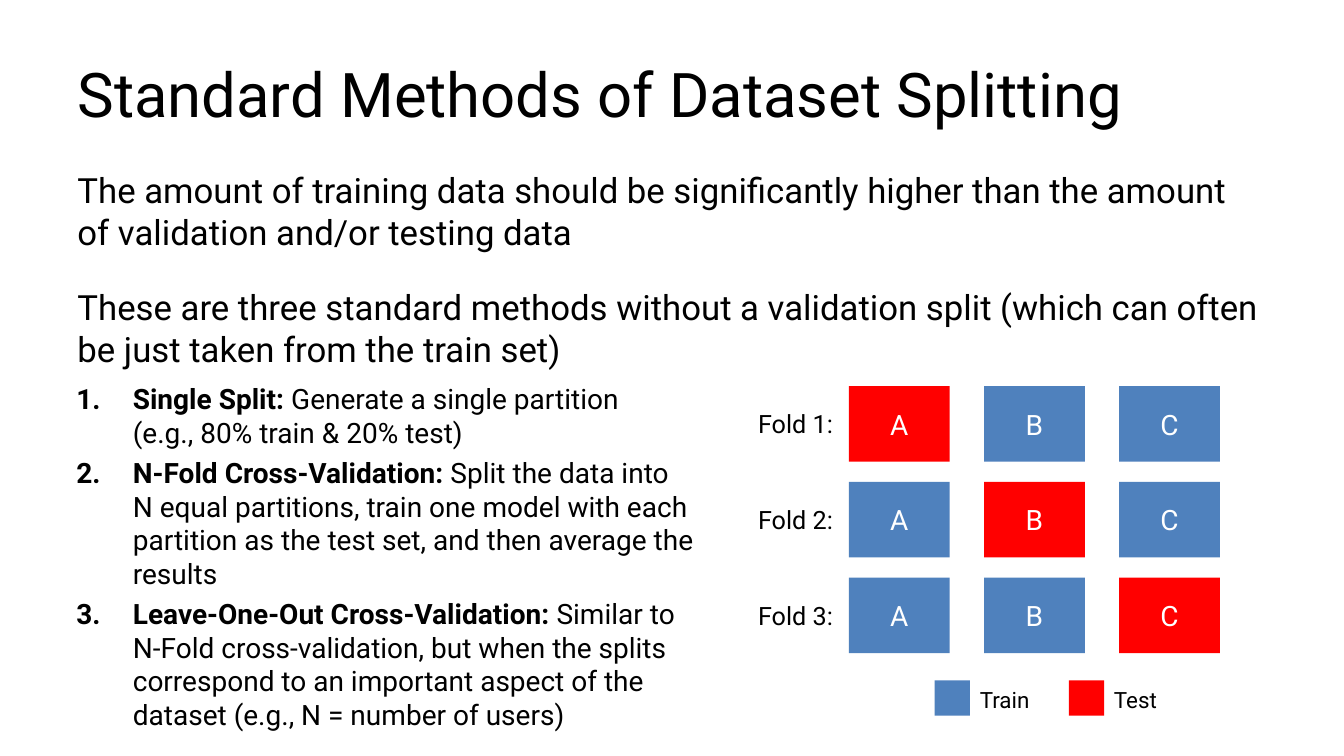
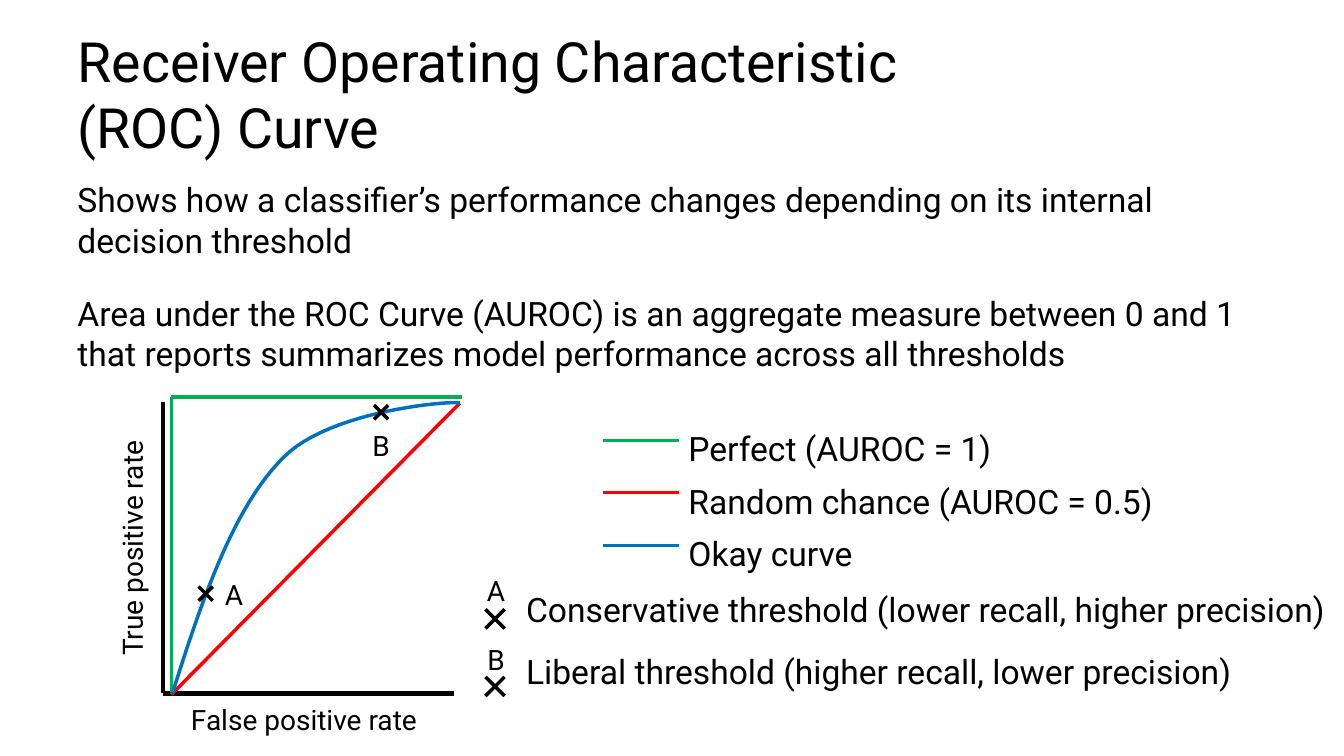
"""Build two slides on dataset splitting and ROC curves."""
from dataclasses import dataclass

from lxml import etree
from pptx import Presentation
from pptx.dml.color import RGBColor
from pptx.enum.shapes import MSO_CONNECTOR as Connector, MSO_SHAPE as Shape
from pptx.enum.text import MSO_ANCHOR as Anchor, MSO_AUTO_SIZE as AutoSize, PP_ALIGN as Align
from pptx.oxml.ns import qn
from pptx.util import Inches, Pt


@dataclass(frozen=True)
class Theme:
    """Colours, font and type sizes of the slides."""
    font: str = "Roboto"
    text: str = "000000"
    on_tile: str = "FFFFFF"
    train: str = "4F81BD"
    test: str = "FF0000"
    perfect: str = "00B050"
    chance: str = "FF0000"
    okay: str = "0070C0"
    legend_size: float = 24
    label_size: float = 20
    fold_size: float = 18
    key_size: float = 16
    axis_width: float = 3
    curve_width: float = 2.5
    legend_width: float = 2
    space_before: float = 0.23


THEME = Theme()
TITLE_BOX = (0.67, 0.3, 12, 1.25)

SPLITTING = {
    "title": "Standard Methods of Dataset Splitting",
    "title_size": 44,
    "body": [
        "The amount of training data should be significantly higher than the amount "
        "of validation and/or testing data",
        "These are three standard methods without a validation split (which can often "
        "be just taken from the train set)",
    ],
    "body_size": 24.8,
    "body_height": 1.84,
}
METHODS = [
    ("Single Split:", " Generate a single partition\n(e.g., 80% train & 20% test)"),
    ("N-Fold Cross-Validation:",
     " Split the data into\nN equal partitions, train one model with each partition "
     "as the test set, and then average the results"),
    ("Leave-One-Out Cross-Validation:",
     " Similar to\nN-Fold cross-validation, but when the splits correspond to an "
     "important aspect of the dataset (e.g., N = number of users)"),
]
PARTITIONS = ("A", "B", "C")
SPLIT_KEY = [("Train", THEME.train, 9.27), ("Test", THEME.test, 10.6)]

ROC = {
    "title": "Receiver Operating Characteristic\n(ROC) Curve",
    "title_size": 39.6,
    "body": [
        "Shows how a classifier’s performance changes depending on its internal "
        "decision threshold",
        "Area under the ROC Curve (AUROC) is an aggregate measure between 0 and 1 "
        "that reports summarizes model performance across all thresholds",
    ],
    "body_size": 24,
    "body_height": 1.98,
}
AXES = [((4.5, 6.88), (1.62, 6.88)), ((1.62, 3.99), (1.62, 6.88))]
AXIS_TITLES = [("False positive rate", (1.37, 6.92, 3.29, 0.44), 0),
               ("True positive rate", (-0.13, 5.22, 2.88, 0.44), 270)]
STRAIGHT_CURVES = [
    ((1.7, 6.89), (4.56, 4), THEME.chance),
    ((1.7, 6.87), (1.7, 3.94), THEME.perfect),
    ((4.58, 3.94), (1.7, 3.94), THEME.perfect),
]
OKAY_CURVE = [
    ((1.71, 6.88), (2.02, 5.89), (2.33, 5.02), (2.81, 4.54)),
    ((2.81, 4.54), (3.28, 4.06), (4.53, 3.97), (4.56, 4)),
]
CURVE_LEGEND = [
    ("Perfect (AUROC = 1)", THEME.perfect),
    ("Random chance (AUROC = 0.5)", THEME.chance),
    ("Okay curve", THEME.okay),
]
MARKERS = [
    ("A", (2.04, 5.89), 0.14, (2.09, 5.68)),
    ("B", (3.78, 4.09), 0.14, (3.55, 4.2)),
    ("A", (4.91, 6.14), 0.19, (4.69, 5.64)),
    ("B", (4.91, 6.81), 0.19, (4.69, 6.32)),
]
THRESHOLDS = [
    ("Conservative threshold (lower recall, higher precision)", 5.79),
    ("Liberal threshold (higher recall, lower precision)", 6.41),
]


def color(value):
    """Return the colour object of a hex string."""
    return RGBColor.from_string(value)


def add_run(paragraph, text, size, fill=THEME.text, bold=False):
    """Add styled text, with a line break at each newline."""
    for index, line in enumerate(text.split("\n")):
        if index:
            paragraph.add_line_break()
        run = paragraph.add_run()
        run.text = line
        run.font.name = THEME.font
        run.font.size = Pt(size)
        run.font.bold = bold
        run.font.color.rgb = color(fill)


def place(shape, box):
    """Move and size a shape."""
    shape.left, shape.top, shape.width, shape.height = map(Inches, box)


def add_text_box(slide, box, anchor=Anchor.TOP):
    """Add an empty wrapping text box."""
    shape = slide.shapes.add_textbox(*map(Inches, box))
    shape.text_frame.word_wrap = True
    shape.text_frame.vertical_anchor = anchor
    return shape


def add_label(slide, text, box, size, align=Align.LEFT, anchor=Anchor.TOP):
    """Add a one-paragraph label."""
    shape = add_text_box(slide, box, anchor)
    paragraph = shape.text_frame.paragraphs[0]
    paragraph.alignment = align
    add_run(paragraph, text, size)
    return shape


def add_rectangle(slide, box, fill, text=""):
    """Add a borderless filled rectangle with an optional centred text."""
    shape = slide.shapes.add_shape(Shape.RECTANGLE, *map(Inches, box))
    shape.shadow.inherit = False
    shape.fill.solid()
    shape.fill.fore_color.rgb = color(fill)
    shape.line.fill.background()
    if text:
        shape.text_frame.vertical_anchor = Anchor.MIDDLE
        paragraph = shape.text_frame.paragraphs[0]
        paragraph.alignment = Align.CENTER
        add_run(paragraph, text, THEME.label_size, THEME.on_tile)


def add_line(slide, start, end, stroke, width):
    """Add a straight line without a shadow."""
    line = slide.shapes.add_connector(Connector.STRAIGHT, *map(Inches, (*start, *end)))
    line.line.color.rgb = color(stroke)
    line.line.width = Pt(width)
    etree.SubElement(line._element.spPr, qn("a:effectLst"))


def add_cross(slide, center, size):
    """Add a cross made of two diagonal lines."""
    x, y = center
    half = size / 2
    for rise in (half, -half):
        add_line(slide, (x - half, y + rise), (x + half, y - rise),
                 THEME.text, THEME.curve_width)


def paragraphs_of(frame, count):
    """Yield the first paragraph and as many new ones as needed."""
    for index in range(count):
        yield frame.add_paragraph() if index else frame.paragraphs[0]


def number(paragraph, indent):
    """Give a paragraph an automatic number and a hanging indent."""
    properties = paragraph._p.get_or_add_pPr()
    properties.set("marL", str(Inches(indent)))
    properties.set("indent", str(-Inches(indent)))
    etree.SubElement(properties, qn("a:buAutoNum"), type="arabicPeriod")


def add_slide(presentation, content):
    """Add a slide with its title and introductory paragraphs."""
    slide = presentation.slides.add_slide(presentation.slide_layouts[5])
    title = slide.shapes.title
    place(title, TITLE_BOX)
    title.text_frame.auto_size = AutoSize.NONE
    title.text_frame.word_wrap = True
    title.text_frame.vertical_anchor = Anchor.MIDDLE
    paragraph = title.text_frame.paragraphs[0]
    paragraph.alignment = Align.LEFT
    add_run(paragraph, content["title"], content["title_size"])

    body = add_text_box(slide, (0.67, 1.75, 12, content["body_height"]), Anchor.MIDDLE)
    lines = content["body"]
    for paragraph, text in zip(paragraphs_of(body.text_frame, len(lines)), lines):
        paragraph.space_before = Pt(THEME.space_before * content["body_size"])
        if text != lines[-1]:
            paragraph.space_after = Pt(18)
        add_run(paragraph, text, content["body_size"])
    return slide


def add_methods(slide):
    """Add the numbered list of splitting methods."""
    frame = add_text_box(slide, (0.66, 3.74, 6.5, 3.59)).text_frame
    for paragraph, (name, detail) in zip(paragraphs_of(frame, len(METHODS)), METHODS):
        paragraph.space_before = Pt(THEME.space_before * THEME.label_size)
        number(paragraph, 0.56)
        add_run(paragraph, name, THEME.label_size, bold=True)
        add_run(paragraph, detail, THEME.label_size)


def add_folds(slide):
    """Add the grid of folds, testing on the diagonal, and its key."""
    for row in range(len(PARTITIONS)):
        top = 3.83 + 0.95 * row
        add_label(slide, f"Fold {row + 1}:", (7.42, top, 1, 0.75),
                  THEME.fold_size, anchor=Anchor.MIDDLE)
        for column, name in enumerate(PARTITIONS):
            fill = THEME.test if row == column else THEME.train
            add_rectangle(slide, (8.42 + 1.34 * column, top, 1, 0.75), fill, name)
    for name, fill, left in SPLIT_KEY:
        add_rectangle(slide, (left, 6.75, 0.35, 0.35), fill)
        add_label(slide, name, (left + 0.35, 6.76, 0.8, 0.37), THEME.key_size)


def bezier(points, t):
    """Return the point at t on a cubic curve, in slide units."""
    weights = ((1 - t) ** 3, 3 * t * (1 - t) ** 2, 3 * t ** 2 * (1 - t), t ** 3)
    return tuple(Inches(sum(w * p[axis] for w, p in zip(weights, points)))
                 for axis in (0, 1))


def add_okay_curve(slide, steps=24):
    """Add the smooth curve of a fair classifier."""
    points = [bezier(part, step / steps)
              for part in OKAY_CURVE for step in range(1, steps + 1)]
    builder = slide.shapes.build_freeform(*bezier(OKAY_CURVE[0], 0), scale=1.0)
    builder.add_line_segments(points, close=False)
    curve = builder.convert_to_shape()
    curve.shadow.inherit = False
    curve.fill.background()
    curve.line.color.rgb = color(THEME.okay)
    curve.line.width = Pt(THEME.curve_width)


def add_roc_plot(slide):
    """Add the axes, curves and threshold markers."""
    for start, end in AXES:
        add_line(slide, start, end, THEME.text, THEME.axis_width)
    for text, box, rotation in AXIS_TITLES:
        label = add_label(slide, text, box, THEME.label_size, Align.CENTER)
        label.rotation = rotation
    for start, end, stroke in STRAIGHT_CURVES:
        add_line(slide, start, end, stroke, THEME.curve_width)
    add_okay_curve(slide)
    for name, center, size, corner in MARKERS:
        add_cross(slide, center, size)
        add_label(slide, name, (*corner, 0.46, 0.44), THEME.label_size, Align.CENTER)


def add_roc_legend(slide):
    """Add the meaning of the curves and markers."""
    for row, (text, stroke) in enumerate(CURVE_LEGEND):
        y = 4.37 + 0.52 * row
        add_line(slide, (5.98, y), (6.73, y), stroke, THEME.legend_width)
        add_label(slide, text, (6.73, y - 0.17, 5.47, 0.5), THEME.legend_size)
    for text, top in THRESHOLDS:
        add_label(slide, text, (5.12, top, 8.2, 0.5), THEME.legend_size)


def main():
    """Build and save the presentation."""
    presentation = Presentation()
    presentation.slide_width = Inches(13.33)
    presentation.slide_height = Inches(7.5)
    splitting = add_slide(presentation, SPLITTING)
    add_methods(splitting)
    add_folds(splitting)
    roc = add_slide(presentation, ROC)
    add_roc_plot(roc)
    add_roc_legend(roc)
    presentation.save("out.pptx")


if __name__ == "__main__":
    main()
